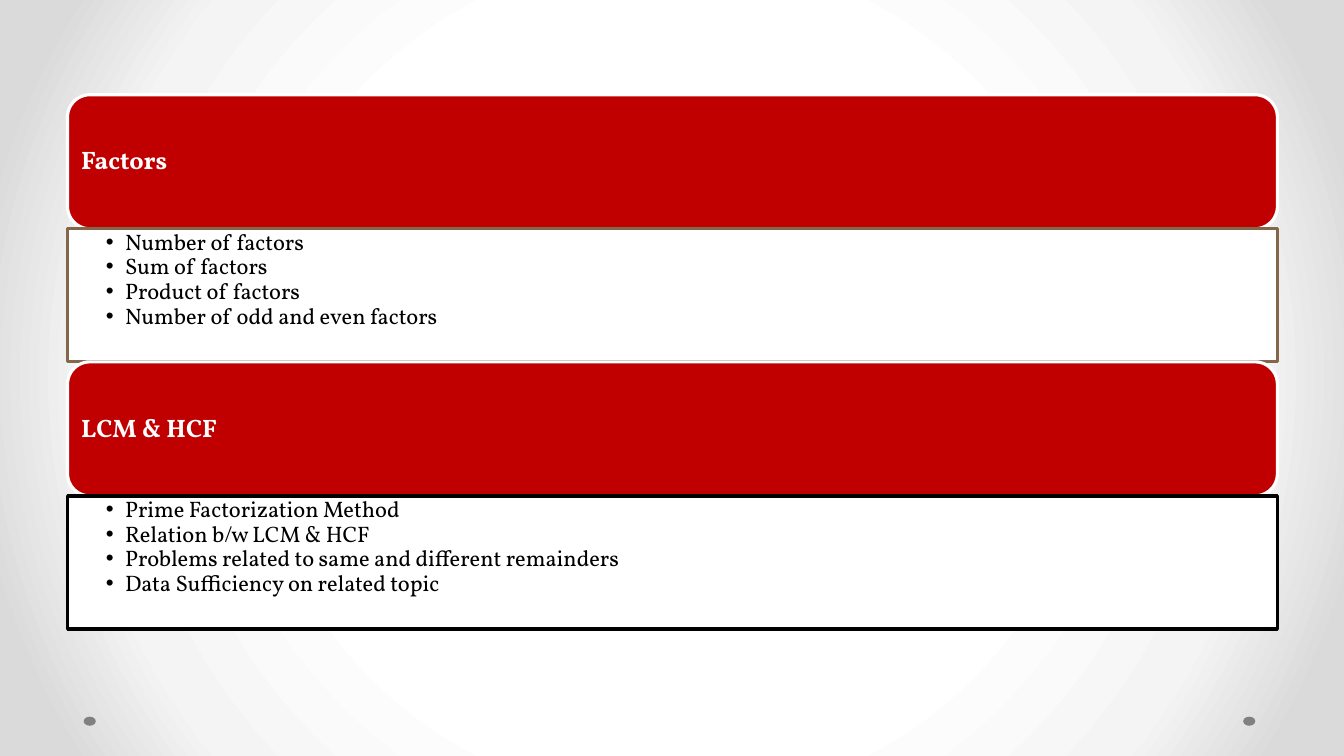
import pptx
import pptx.util
import pptx.dml.color
import pptx.enum.shapes
import pptx.enum.text
import pptx.oxml
import pptx.oxml.ns
from pptx.util import Inches


def rgb(value):
    return pptx.dml.color.RGBColor.from_string(value)


def add_line(paragraph, text, size, color, bold):
    paragraph.alignment = pptx.enum.text.PP_ALIGN.LEFT
    paragraph.line_spacing = 0.9
    paragraph.space_before = pptx.util.Pt(0)
    run = paragraph.add_run()
    run.text = text
    run.font.name = "Vollkorn"
    run.font.size = pptx.util.Pt(size)
    run.font.bold = bold
    run.font.color.rgb = rgb(color)


topics = [
    ("Factors", "846648", [
        "Number of factors",
        "Sum of factors",
        "Product of factors",
        "Number of odd and even factors",
    ]),
    ("LCM & HCF", "000000", [
        "Prime Factorization Method",
        "Relation b/w LCM & HCF",
        "Problems related to same and different remainders",
        "Data Sufficiency on related topic",
    ]),
]
left, top, width = 0.67, 0.94, 12
heading_height, list_height = 1.33, 1.32

deck = pptx.Presentation()
deck.slide_width = Inches(13.33)
deck.slide_height = Inches(7.5)
slide = deck.slides.add_slide(deck.slide_layouts[3])
slide.shapes.title.element.getparent().remove(slide.shapes.title.element)

stops = "".join(
    f'<a:gs pos="{percent * 1000}"><a:srgbClr val="{color}"/></a:gs>'
    for percent, color in [(50, "FFFFFF"), (76, "F4F4F4"), (92, "DADADA")]
)
background = pptx.oxml.parse_xml(
    f'<p:bg {pptx.oxml.ns.nsdecls("p", "a")}><p:bgPr><a:gradFill rotWithShape="1">'
    f'<a:gsLst>{stops}</a:gsLst><a:path path="circle">'
    '<a:fillToRect l="50000" t="50000" r="50000" b="50000"/></a:path></a:gradFill>'
    '<a:effectLst/></p:bgPr></p:bg>'
)
slide.element.cSld.insert(0, background)

for dot_left in (12.33, 0.83):
    dot = slide.shapes.add_shape(
        pptx.enum.shapes.MSO_SHAPE.OVAL,
        Inches(dot_left), Inches(7.11), Inches(0.12), Inches(0.09))
    dot.shadow.inherit = False
    dot.fill.solid()
    dot.fill.fore_color.rgb = rgb("808080")
    dot.line.fill.background()

for index, (topic, border, details) in enumerate(topics):
    heading_top = top + index * (heading_height + list_height)
    heading = slide.shapes.add_shape(
        pptx.enum.shapes.MSO_SHAPE.ROUNDED_RECTANGLE,
        Inches(left), Inches(heading_top), Inches(width), Inches(heading_height))
    heading.shadow.inherit = False
    heading.text_frame.margin_left = Inches(0.07)
    heading.text_frame.vertical_anchor = pptx.enum.text.MSO_ANCHOR.MIDDLE
    add_line(heading.text_frame.paragraphs[0], topic, 18, "FFFFFF", True)

    detail_list = slide.placeholders[index + 1]
    slide.shapes.element.append(detail_list.element)
    detail_list.left, detail_list.top = Inches(left), Inches(heading_top + heading_height)
    detail_list.width, detail_list.height = Inches(width), Inches(list_height)
    frame = detail_list.text_frame
    frame.auto_size = pptx.enum.text.MSO_AUTO_SIZE.NONE
    frame.word_wrap = True
    frame.vertical_anchor = pptx.enum.text.MSO_ANCHOR.TOP
    frame.margin_left, frame.margin_right = Inches(0.38), Inches(0.12)
    frame.margin_top = frame.margin_bottom = Inches(0.02)
    for number, detail in enumerate(details):
        paragraph = frame.add_paragraph() if number else frame.paragraphs[0]
        properties = paragraph._p.get_or_add_pPr()
        properties.set("marL", str(Inches(0.19)))
        properties.set("indent", str(Inches(-0.19)))
        properties.append(pptx.oxml.parse_xml(
            f'<a:buChar {pptx.oxml.ns.nsdecls("a")} char="•"/>'))
        add_line(paragraph, detail, 16, "000000", False)
        paragraph.space_after = pptx.util.Pt(0.4)

    for panel, fill, outline in ((heading, "C00000", "FFFFFF"), (detail_list, "FFFFFF", border)):
        panel.fill.solid()
        panel.fill.fore_color.rgb = rgb(fill)
        panel.line.color.rgb = rgb(outline)
        panel.line.width = pptx.util.Pt(2.25)

deck.save("out.pptx")
